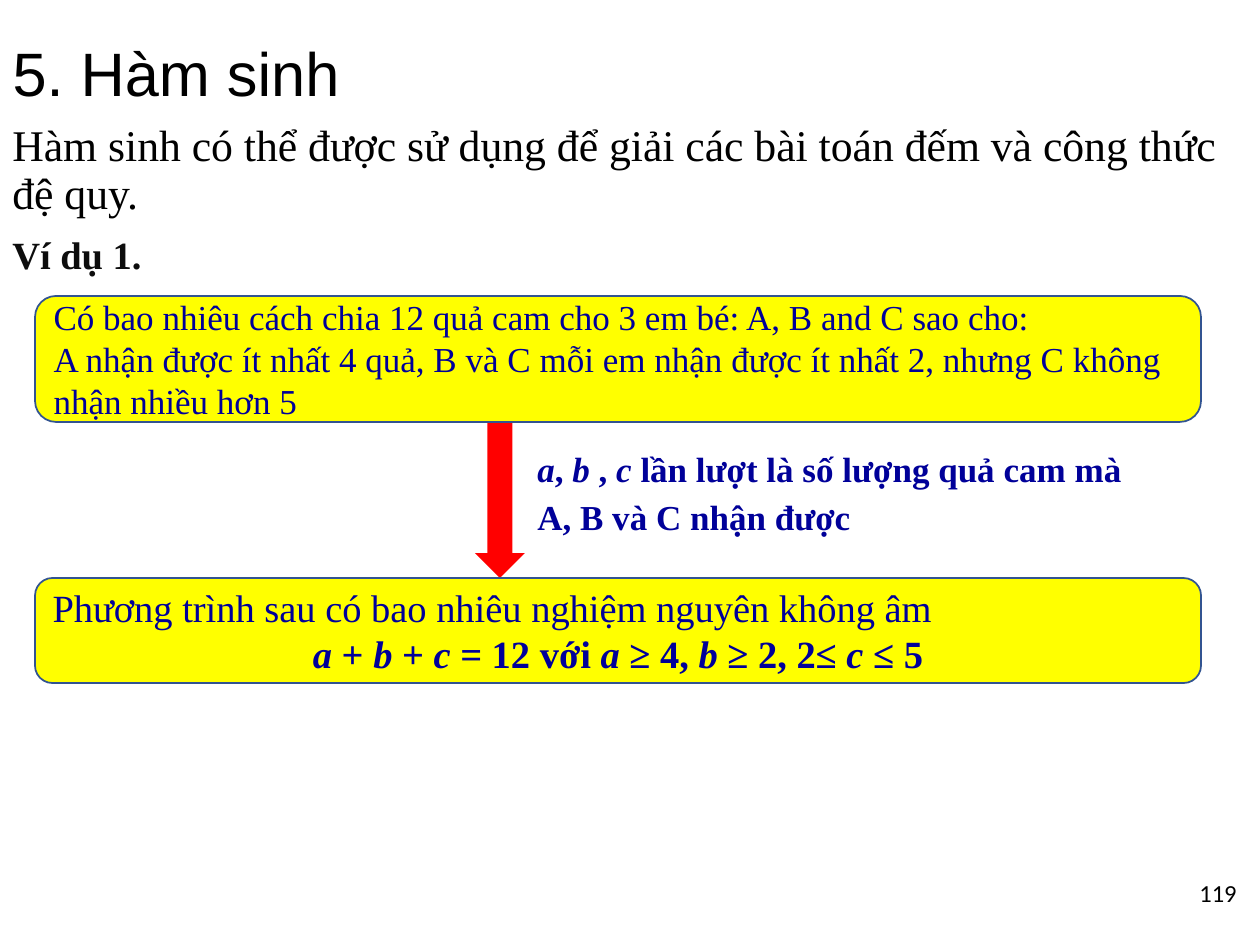
from dataclasses import dataclass

from pptx import Presentation
from pptx.dml.color import RGBColor
from pptx.enum.shapes import MSO_SHAPE
from pptx.enum.text import MSO_ANCHOR, MSO_AUTO_SIZE, PP_ALIGN
from pptx.util import Emu, Inches, Pt

PX_PER_INCH = 126


@dataclass(frozen=True)
class Theme:
    black: str = "000000"
    near_black: str = "0D0D0D"
    navy: str = "000099"
    yellow: str = "FFFF00"
    outline: str = "325491"
    red: str = "FF0000"
    heading_font: str = "Arial"
    body_font: str = "Times New Roman"
    number_font: str = "Calibri"
    title_size: int = 35
    intro_size: int = 25
    label_size: int = 22
    text_size: int = 20
    number_size: int = 14


THEME = Theme()


def px(*lengths):
    """Turn pixel lengths into EMU."""
    return [Emu(round(length * Inches(1) / PX_PER_INCH)) for length in lengths]


def write_paragraph(paragraph, text, size, color, font=THEME.body_font, bold=False,
                    align=PP_ALIGN.LEFT, line_spacing=None, space_before=0):
    """Write text in which *asterisks* enclose italic parts."""
    for index, part in enumerate(text.split("*")):
        if part:
            run = paragraph.add_run()
            run.text = part
            if index % 2:
                run.font.italic = True
    paragraph.font.name = font
    paragraph.font.size = Pt(size)
    paragraph.font.bold = bold
    paragraph.font.color.rgb = RGBColor.from_string(color)
    paragraph.alignment = align
    paragraph.space_before = Pt(space_before)
    if line_spacing:
        paragraph.line_spacing = line_spacing


def set_title(slide, text, box):
    title = slide.shapes.title
    title.left, title.top, title.width, title.height = px(*box)
    frame = title.text_frame
    frame.auto_size = MSO_AUTO_SIZE.NONE
    frame.vertical_anchor = MSO_ANCHOR.BOTTOM
    write_paragraph(frame.paragraphs[0], text, THEME.title_size, THEME.black,
                    THEME.heading_font, line_spacing=0.9)


def add_text(slide, box):
    """Add a wrapping text box and return its text frame."""
    frame = slide.shapes.add_textbox(*px(*box)).text_frame
    frame.word_wrap = True
    return frame


def add_filled_shape(slide, kind, box, fill, outline=None):
    shape = slide.shapes.add_shape(kind, *px(*box))
    shape.shadow.inherit = False
    shape.fill.solid()
    shape.fill.fore_color.rgb = RGBColor.from_string(fill)
    if outline:
        shape.line.color.rgb = RGBColor.from_string(outline)
        shape.line.width = Pt(1)
    else:
        shape.line.fill.background()
    return shape


def add_panel(slide, box):
    """Add a yellow rounded panel and return its text frame."""
    panel = add_filled_shape(slide, MSO_SHAPE.ROUNDED_RECTANGLE, box,
                             THEME.yellow, THEME.outline)
    frame = panel.text_frame
    frame.word_wrap = True
    frame.vertical_anchor = MSO_ANCHOR.MIDDLE
    return frame


def main():
    presentation = Presentation()
    presentation.slide_width, presentation.slide_height = Inches(10), Inches(7.5)
    slide = presentation.slides.add_slide(presentation.slide_layouts[5])

    set_title(slide, "5. Hàm sinh", (0, 0, 1229, 116))

    intro = add_text(slide, (0, 118, 1250, 354))
    write_paragraph(
        intro.paragraphs[0],
        "Hàm sinh có thể được sử dụng để giải các bài toán đếm và công thức đệ quy.",
        THEME.intro_size, THEME.black, line_spacing=0.9, space_before=10)
    write_paragraph(intro.add_paragraph(), "Ví dụ 1.", THEME.label_size,
                    THEME.near_black, bold=True, line_spacing=0.9, space_before=10)

    number = add_text(slide, (1187, 872, 63, 50))
    write_paragraph(number.paragraphs[0], "119", THEME.number_size, THEME.black,
                    THEME.number_font)

    add_filled_shape(slide, MSO_SHAPE.DOWN_ARROW, (475, 422, 50, 156), THEME.red)

    problem = add_panel(slide, (35, 296, 1166, 126))
    write_paragraph(
        problem.paragraphs[0],
        "Có bao nhiêu cách chia 12 quả cam cho 3 em bé: A, B and C sao cho:",
        THEME.text_size, THEME.navy)
    write_paragraph(
        problem.add_paragraph(),
        "A nhận được ít nhất 4 quả, B và C mỗi em nhận được ít nhất 2, "
        "nhưng C không nhận nhiều hơn 5",
        THEME.text_size, THEME.navy)

    equation = add_panel(slide, (35, 578, 1166, 105))
    write_paragraph(equation.paragraphs[0],
                    "Phương trình sau có bao nhiêu nghiệm nguyên không âm",
                    THEME.label_size, THEME.navy)
    write_paragraph(equation.add_paragraph(),
                    "*a* + *b* + *c* = 12 với *a *≥ 4, *b *≥ 2, 2≤ *c* ≤ 5",
                    THEME.label_size, THEME.navy, bold=True, align=PP_ALIGN.CENTER)

    variables = add_text(slide, (525, 436, 640, 97))
    write_paragraph(
        variables.paragraphs[0],
        "*a*, *b* , *c *lần lượt là số lượng quả cam mà A, B và C nhận được",
        THEME.text_size, THEME.navy, bold=True, line_spacing=1.13)

    presentation.save("out.pptx")


if __name__ == "__main__":
    main()
